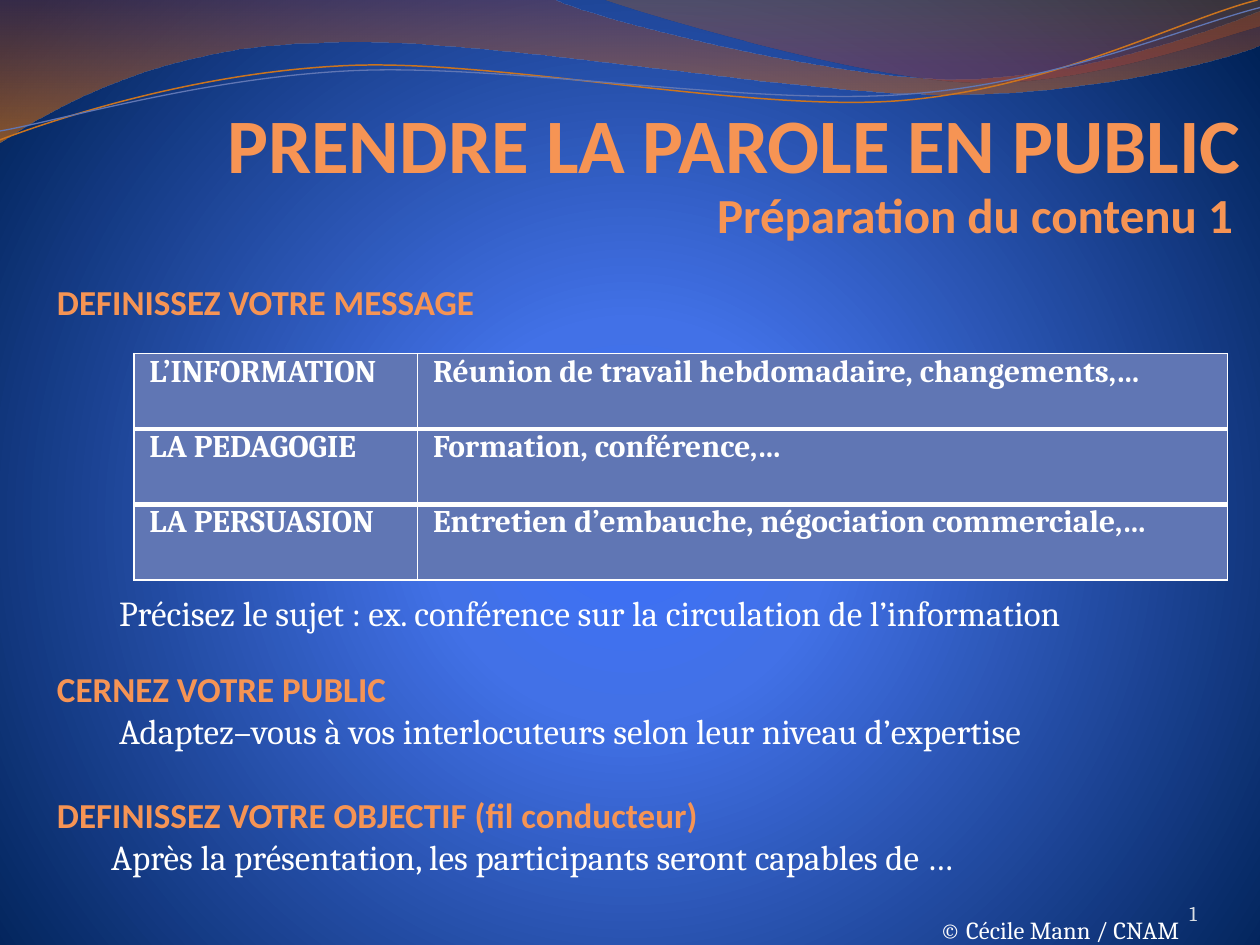
from lxml import etree
from pptx import Presentation
from pptx.dml.color import RGBColor
from pptx.enum.text import MSO_ANCHOR, PP_ALIGN
from pptx.oxml import parse_xml
from pptx.oxml.ns import nsdecls, qn
from pptx.util import Cm, Pt

RIGHT, LEFT = PP_ALIGN.RIGHT, PP_ALIGN.LEFT
BOTTOM, TOP = MSO_ANCHOR.BOTTOM, MSO_ANCHOR.TOP
WHITE, CORAL, STEEL = "FFFFFF", "F69454", "6076B4"


def hue(fill, code):
    fill.solid()
    fill.fore_color.rgb = RGBColor.from_string(code)


def grade(fill, root, stops, way):
    fill.gradient()
    old = next(root.iter(qn("a:gradFill")))
    marks = "".join(
        f'<a:gs pos="{pos * 1000}"><a:srgbClr val="{code}">'
        f'<a:alpha val="{alpha * 1000}"/></a:srgbClr></a:gs>'
        for pos, code, alpha in stops)
    new = parse_xml(f'<a:gradFill {nsdecls("a")} rotWithShape="1">'
                    f'<a:gsLst>{marks}</a:gsLst>{way}</a:gradFill>')
    old.getparent().replace(old, new)


deck = Presentation()
deck.slide_width, deck.slide_height = Cm(25.4), Cm(19.05)
slide = deck.slides.add_slide(deck.slide_layouts[5])
shapes = slide.shapes

glow = ('<a:path path="circle"><a:fillToRect l="10000" t="110000" '
        'r="10000" b="100000"/></a:path>')
grade(slide.background.fill, slide._element,
      [(0, "3C70F9", 100), (25, "4271E7", 100), (100, "002257", 100)], glow)

waves = [
    ([(0, 0), (4.4, 0), (4.76, 0.17, 6.64, 0.63, 7.58, 0.63),
      (8.53, 0.63, 9.58, 0.26, 10, 0.09), (10, 0.36),
      (9.83, 0.44, 8.7, 0.76, 7.46, 0.75),
      (6.22, 0.75, 3.82, 0.28, 2.57, 0.34),
      (1.29, 0.36, 0.46, 0.83, 0, 1.13)],
     [(0, "793737", 45), (100, "F07800", 55)], None),
    ([(4.79, 0), (5.09, 0.11, 6.82, 0.62, 7.69, 0.65),
      (8.56, 0.69, 9.61, 0.32, 10, 0.21), (10, 0)],
     [(0, "C06203", 30), (80, "973B3B", 45)], None),
    ([(0, 1.11), (0.48, 0.93, 1.58, 0.57, 2.77, 0.52),
      (3.95, 0.47, 5.93, 0.89, 7.13, 0.8),
      (8.33, 0.71, 9.38, 0.15, 9.98, 0)],
     None, ("CB741E", 0.85)),
    ([(0, 1.04), (0.47, 0.96, 1.64, 0.61, 2.83, 0.56),
      (4.03, 0.51, 5.97, 0.84, 7.17, 0.75),
      (8.36, 0.67, 9.41, 0.21, 10, 0.06)],
     None, (STEEL, 0.75)),
]
for parts, stops, line in waves:
    dots = [(round(part[-2] * 1000), round(part[-1] * 1000)) for part in parts]
    pen = shapes.build_freeform(*dots[0], scale=Cm(2.54) / 1000)
    pen.add_line_segments(dots[1:], close=line is None)
    wave = pen.convert_to_shape()
    wave.shadow.inherit = False
    west, north = (min(axis) for axis in zip(*dots))
    legs = list(wave._element.iter(qn("a:lnTo")))
    for leg, part in zip(legs, parts[1:]):
        if len(part) == 6:
            curve = etree.Element(qn("a:cubicBezTo"))
            for x, y in zip(part[::2], part[1::2]):
                etree.SubElement(curve, qn("a:pt"), x=str(round(x * 1000) - west),
                                 y=str(round(y * 1000) - north))
            leg.getparent().replace(leg, curve)
    if line:
        wave.fill.background()
        hue(wave.line.fill, line[0])
        wave.line.width = Pt(line[1])
    else:
        grade(wave.fill, wave._element, stops, '<a:lin ang="5400000" scaled="0"/>')
        wave.line.fill.background()

title = shapes.title
shapes._spTree.append(title._element)
body = shapes.add_textbox(0, 0, 0, 0)
frames = [
    (title, (3.5, 0.53, 21.6, 3.28), BOTTOM, (0, 0, 0.05, 0)),
    (body, (0.9, 3.6, 24.2, 15.4), TOP, (0.25, 0.13, 0.25, 0.13)),
]

head = {"name": "Calibri", "size": Pt(20), "bold": True}
text = {"name": "Cambria", "size": Pt(20), "bold": False}
bold = {"name": "Cambria", "size": Pt(18), "bold": True}
jobs = []

para = title.text_frame.paragraphs[0]
para.text = "PRENDRE LA PAROLE EN PUBLIC"
para.alignment = RIGHT
jobs.append((para.runs[0].font, head | {"size": Pt(44)}, CORAL))

lines = [
    ("Préparation du contenu 1", head | {"size": Pt(28)}, CORAL, 0, 0),
    ("DEFINISSEZ VOTRE MESSAGE", head, CORAL, 21, 0),
    ("Précisez le sujet\u00a0: ex. conférence sur la circulation de l’information",
     text, WHITE, 153.5, 1.25),
    ("CERNEZ VOTRE PUBLIC", head, CORAL, 19.5, 0),
    ("Adaptez–vous à vos interlocuteurs selon leur niveau d’expertise",
     text, WHITE, 0, 1.25),
    ("DEFINISSEZ VOTRE OBJECTIF (fil conducteur)", head, CORAL, 24, 0),
    ("Après la présentation, les participants seront capables de …",
     text, WHITE, 0, 1.09),
    ("© Cécile Mann / CNAM", text | {"size": Pt(14)}, WHITE, 21.5, 17.8),
]
for row, (words, form, code, gap, dent) in enumerate(lines):
    frame = body.text_frame
    para = frame.add_paragraph() if row else frame.paragraphs[0]
    run = para.add_run()
    run.text = words
    para.alignment = LEFT if row else RIGHT
    para.space_before = Pt(gap)
    para._p.get_or_add_pPr().set("marL", str(Cm(dent)))
    jobs.append((run.font, form, code))

cells = [
    ("L’INFORMATION", "Réunion de travail hebdomadaire, changements,…"),
    ("LA PEDAGOGIE", "Formation, conférence,…"),
    ("LA PERSUASION", "Entretien d’embauche, négociation commerciale,…"),
]
table = shapes.add_table(3, 2, Cm(2.7), Cm(7.13), Cm(22.05), Cm(4.57)).table
table.first_row = table.horz_banding = False
for col, wide in zip(table.columns, (5.72, 16.33)):
    col.width = Cm(wide)
for row, pair in enumerate(cells):
    table.rows[row].height = Cm(1.52)
    for col, words in enumerate(pair):
        cell = table.cell(row, col)
        cell.text = words
        cell.margin_left = cell.margin_right = Cm(0.18)
        cell.margin_top = cell.margin_bottom = 0
        hue(cell.fill, STEEL)
        para = cell.text_frame.paragraphs[0]
        para._p.get_or_add_pPr().set("marL", str(Cm(0.13)))
        jobs.append((para.runs[0].font, bold, WHITE))
        edges = {"L": 1, "R": 1, "T": 3 if row else 1, "B": 3 if row < 2 else 1}
        for spot, (side, thick) in enumerate(edges.items()):
            edge = parse_xml(
                f'<a:ln{side} {nsdecls("a")} w="{Pt(thick)}"><a:solidFill>'
                f'<a:srgbClr val="{WHITE}"/></a:solidFill></a:ln{side}>')
            cell._tc.get_or_add_tcPr().insert(spot, edge)

page = shapes.add_textbox(0, 0, 0, 0)
frames.append((page, (22.02, 17.65, 2.11, 1.02), BOTTOM, (0, 0, 0, 0)))
para = page.text_frame.paragraphs[0]
para.alignment = RIGHT
run = para.add_run()
run.text = "1"
jobs.append((run.font, text | {"size": Pt(12)}, "DADFE4"))

for box, place, anchor, pads in frames:
    box.left, box.top, box.width, box.height = map(Cm, place)
    frame = box.text_frame
    frame.word_wrap = True
    frame.vertical_anchor = anchor
    for side, pad in zip(("left", "top", "right", "bottom"), pads):
        setattr(frame, f"margin_{side}", Cm(pad))

for font, form, code in jobs:
    for key, value in form.items():
        setattr(font, key, value)
    hue(font.fill, code)

deck.save("out.pptx")
